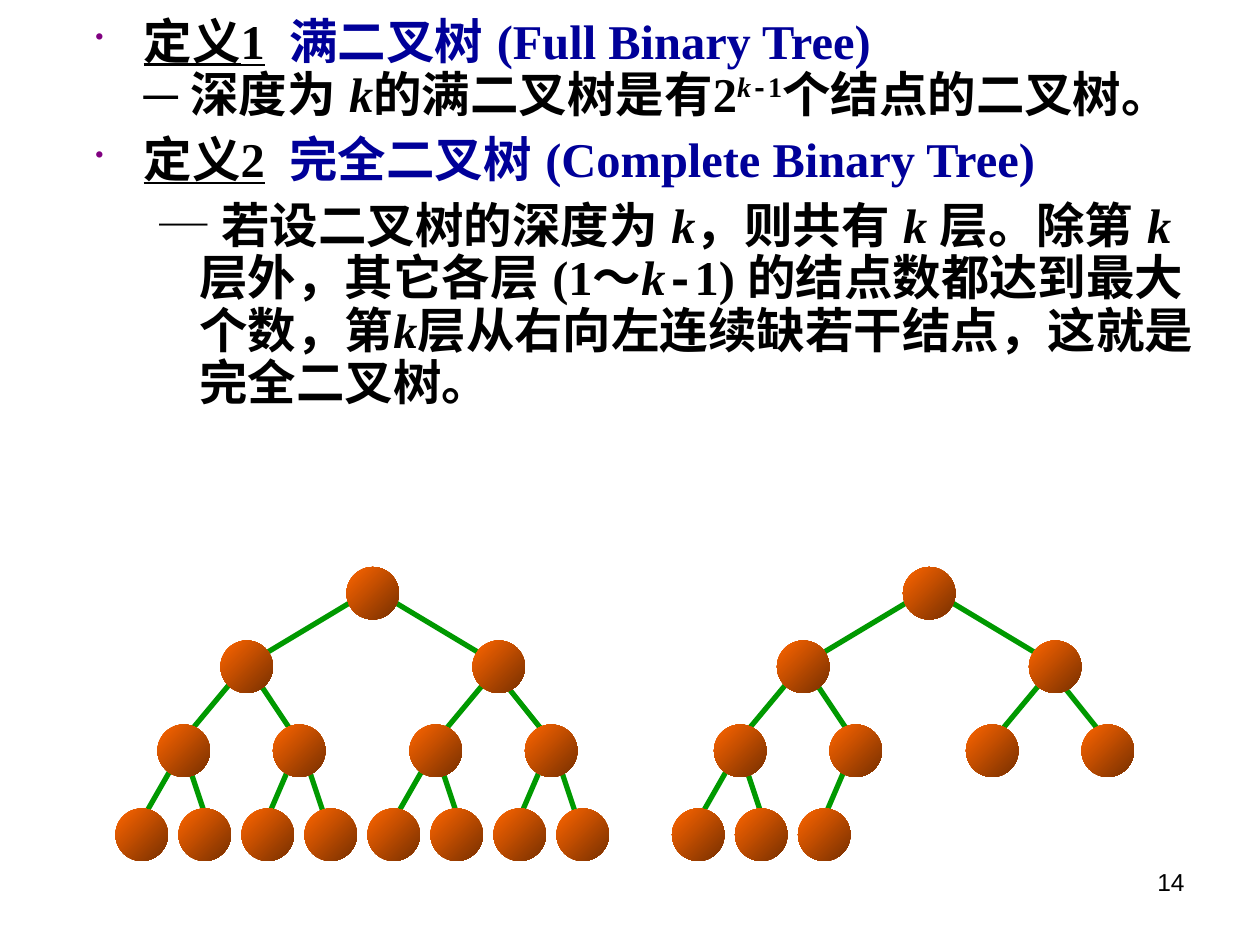
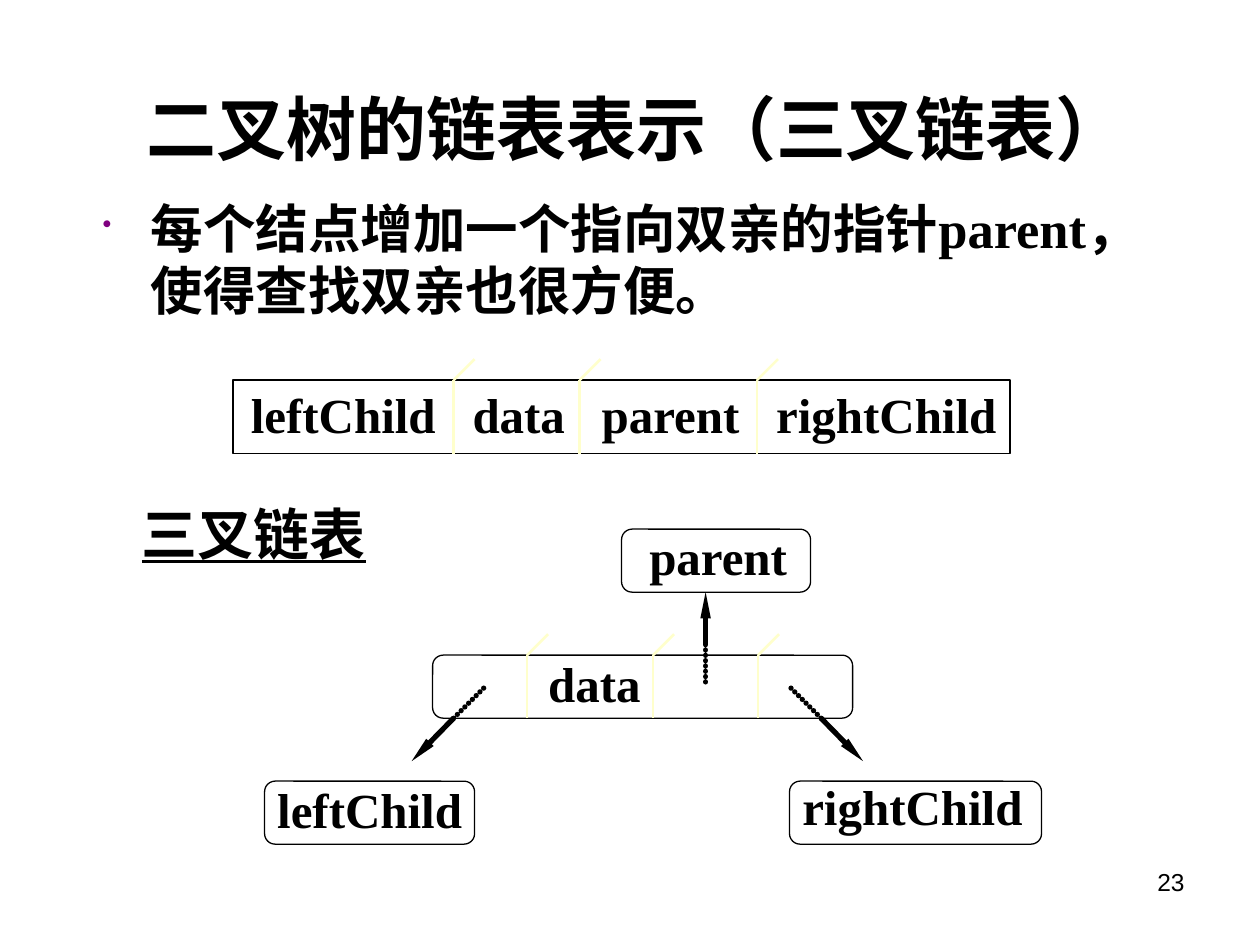
"""Build two slides on binary trees and their triple-linked nodes."""
from dataclasses import dataclass

from lxml import etree
from pptx import Presentation
from pptx import util as u
from pptx.dml.color import RGBColor
from pptx.enum import shapes, text
from pptx.oxml.ns import qn

PX = u.Inches(1) // 120
ALIGN = text.PP_ALIGN
ANCHOR = text.MSO_ANCHOR
SHAPE = shapes.MSO_SHAPE


@dataclass(frozen=True)
class Theme:
    """Colours, fonts and type sizes."""
    ink: str = "000000"
    paper: str = "FFFFFF"
    term: str = "000099"
    bullet: str = "800080"
    edge: str = "009900"
    node_light: str = "FF6600"
    node_dark: str = "762F00"
    divider: str = "FFFFCC"
    serif: str = "Times New Roman"
    sans: str = "Arial"
    mono: str = "Courier New"
    cjk: str = "Noto Sans CJK SC"
    title: float = 40
    subtitle: float = 32
    body: float = 30
    label: float = 28
    definition: float = 27.7
    number: float = 14


def rgb(value):
    """Turn a hex string into a colour."""
    return RGBColor.from_string(value)


class Painter:
    """Holds the theme and the current slide and draws each kind of element."""

    def __init__(self, deck, theme):
        """Keep the deck and the theme."""
        self.deck, self.theme, self.page = deck, theme, None

    def new_page(self, number):
        """Start a blank page with its number."""
        self.page = self.deck.slides.add_slide(self.deck.slide_layouts[6])
        frame = self.frame(860, 820, 280, 62)
        self.para(frame, [(str(number), "")], self.theme.number, self.theme.sans,
                  bold=False, align=ALIGN.RIGHT)

    def frame(self, x, y, w, h, wrap=True, anchor=ANCHOR.TOP):
        """Add a text box and return its text frame."""
        box = self.page.shapes.add_textbox(x * PX, y * PX, w * PX, h * PX)
        frame = box.text_frame
        frame.word_wrap = wrap
        frame.vertical_anchor = anchor
        return frame

    def para(self, frame, spans, size, font=None, bold=True, align=ALIGN.LEFT):
        """Fill the first empty paragraph, or a new one, with marked spans."""
        para = frame.paragraphs[0] if not frame.text else frame.add_paragraph()
        para.alignment = align
        for words, marks in spans:
            if words == "\n":
                para.add_line_break()
            else:
                self.span(para, words, marks, size, font or self.theme.serif, bold)
        return para

    def span(self, para, words, marks, size, font, bold):
        """Add a run: u underline, i italic, t term, m mono, w wide, s raised, g gap."""
        theme = self.theme
        span = para.add_run()
        span.text = words
        style = span.font
        style.size, style.bold = u.Pt(size), bold
        style.italic, style.underline = "i" in marks, "u" in marks
        style.color.rgb = rgb(theme.term if "t" in marks else theme.ink)
        style.name = theme.mono if "m" in marks else theme.cjk if "w" in marks else font
        props = span._r.get_or_add_rPr()
        etree.SubElement(props, qn("a:ea"),
                         typeface=theme.cjk if "w" in marks else theme.sans)
        if "s" in marks:
            props.set("baseline", "30000")
        if "g" in marks:
            props.set("spc", str(700 * marks.count("g")))

    def body(self, frame, spans, size, leading, margin=46, hang=46, bullet=True):
        """Add a hanging body paragraph."""
        para = self.para(frame, spans, size)
        para.line_spacing, para.space_before = u.Pt(leading), u.Pt(7.5)
        props = para._p.get_or_add_pPr()
        props.set("marL", str(margin * PX))
        props.set("indent", str(-hang * PX))
        props.set("hangingPunct", "0")
        if bullet:
            colour = etree.SubElement(props, qn("a:buClr"))
            etree.SubElement(colour, qn("a:srgbClr"), val=self.theme.bullet)
            etree.SubElement(props, qn("a:buSzPct"), val="50000")
            etree.SubElement(props, qn("a:buChar"), char="•")

    def label(self, x, y, w, h, spans, size, font=None, wrap=False):
        """Add one centred line of bold text."""
        frame = self.frame(x, y, w, h, wrap, ANCHOR.MIDDLE)
        self.para(frame, spans, size, font, align=ALIGN.CENTER)

    def shape(self, kind, x, y, w, h):
        """Add a preset shape without a shadow."""
        shape = self.page.shapes.add_shape(kind, x * PX, y * PX, w * PX, h * PX)
        shape.shadow.inherit = False
        return shape

    def panel(self, kind, x, y, w, h):
        """Add a white panel with a thin outline."""
        panel = self.shape(kind, x, y, w, h)
        panel.fill.solid()
        panel.fill.fore_color.rgb = rgb(self.theme.paper)
        panel.line.color.rgb = rgb(self.theme.ink)
        panel.line.width = u.Pt(0.75)

    def node(self, x, y):
        """Add a shaded tree node."""
        node = self.shape(SHAPE.OVAL, x, y, 50, 50)
        node.fill.gradient()
        node.fill.gradient_angle = 315
        colours = (self.theme.node_light, self.theme.node_dark)
        for stop, colour in zip(node.fill.gradient_stops, colours):
            stop.color.rgb = rgb(colour)
        node.line.fill.background()

    def line(self, x1, y1, x2, y2, colour, width, dotted=False, arrow=False):
        """Add a straight line, dotted or with an arrowhead if asked."""
        line = self.page.shapes.add_connector(
            shapes.MSO_CONNECTOR.STRAIGHT, x1 * PX, y1 * PX, x2 * PX, y2 * PX)
        line.line.color.rgb = rgb(colour)
        line.line.width = u.Pt(width)
        props = line._element.spPr
        outline = props.find(qn("a:ln"))
        if dotted:
            outline.set("cap", "rnd")
            dashes = etree.SubElement(outline, qn("a:custDash"))
            etree.SubElement(dashes, qn("a:ds"), d="100000", sp="1000")
        if arrow:
            etree.SubElement(outline, qn("a:tailEnd"), type="triangle", w="sm", len="lg")
        etree.SubElement(props, qn("a:effectLst"))

    def tree(self, left, count):
        """Draw the first nodes of the tree in level order."""
        for x1, y1, x2, y2 in EDGES[:count - 1]:
            self.line(left + x1, y1, left + x2, y2, self.theme.edge, 3)
        for x, y in NODES[:count]:
            self.node(left + x, y)

    def divider(self, x, top, bottom):
        """Draw a field divider with its slanted tip."""
        self.line(x, bottom, x, top, self.theme.divider, 1.5)
        self.line(x, top, x + 20, top - 20, self.theme.divider, 1.5)

    def pointer(self, start, middle, end):
        """Draw a pointer, dotted inside its field and solid outside."""
        self.line(*middle, *end, self.theme.ink, 3, arrow=True)
        self.line(*middle, *start, self.theme.ink, 3, dotted=True)


LEVELS = ((540, (330,)), (610, (210, 450)), (690, (150, 260, 390, 500)),
          (770, range(110, 531, 60)))
NODES = [(x, y) for y, row in LEVELS for x in row]
LEAF_EDGES = ((170, 720, 130, 790), (180, 730, 200, 790),
              (280, 720, 250, 790), (290, 720, 310, 780))
EDGES = [(340, 570, 240, 630), (370, 570, 470, 630),
         (220, 650, 170, 710), (240, 640, 280, 700),
         (470, 640, 420, 700), (480, 650, 520, 700),
         *((x1 + shift, y1, x2 + shift, y2)
           for shift in (0, 240) for x1, y1, x2, y2 in LEAF_EDGES)]

FULL_TREE = [
    ("定义1", "u"), (" ", "g"), ("满二叉树 (Full Binary Tree)", "t"), ("\n", ""),
    ("─ 深度为 ", ""), ("k", "i"), ("的满二叉树是有2", ""), ("k", "is"),
    ("-", "ms"), ("1", "s"), ("个结点的二叉树。", "")]
COMPLETE_TREE = [
    ("定义2", "u"), (" ", "g"), ("完全二叉树 (Complete Binary Tree)", "t")]
COMPLETE_RULE = [
    ("─", "w"), (" 若设二叉树的深度为 ", ""), ("k", "i"), ("，则共有 ", ""),
    ("k ", "i"), ("层。除第 ", ""), ("k ", "i"), ("层外，其它各层 (1", ""),
    ("～", "w"), ("k", "i"), ("-", "m"), ("1) 的结点数都达到最大个数，第", ""),
    ("k", "i"), ("层从右向左连续缺若干结点，这就是完全二叉树。", "")]
FIELDS = [("leftChild", ""), (" ", "gg"), ("data", ""), (" ", "gg"),
          ("parent", ""), (" ", "gg"), ("rightChild", "")]


def definitions(painter):
    """Define full and complete binary trees and show one of each."""
    size = painter.theme.definition
    painter.new_page(14)
    painter.tree(0, 15)
    painter.tree(530, 10)
    frame = painter.frame(79, 10, 1080, 510)
    painter.body(frame, FULL_TREE, size, 30)
    painter.body(frame, COMPLETE_TREE, size, 30)
    painter.body(frame, COMPLETE_RULE, size, 30, margin=99, hang=38, bullet=False)


def triple_links(painter):
    """Show the node record and its three pointers."""
    theme = painter.theme
    painter.new_page(23)
    painter.label(66, 58, 1080, 127, [("二叉树的链表表示（三叉链表）", "")],
                  theme.title, theme.sans, wrap=True)
    frame = painter.frame(86, 182, 1046, 137)
    painter.body(frame, [("每个结点增加一个指向双亲的指针parent，使得查找双亲也很方便。", "")],
                 theme.body, 35.4)

    painter.panel(SHAPE.RECTANGLE, 222, 362, 740, 70)
    for x in (432, 552, 721):
        painter.divider(x, 362, 432)
    painter.label(227, 360, 734, 68, FIELDS, theme.label)

    painter.label(123, 469, 238, 77, [("三叉链表", "u")], theme.subtitle)
    for x, y, w in ((592, 504, 180), (412, 624, 400), (752, 744, 240), (252, 744, 200)):
        painter.panel(SHAPE.ROUNDED_RECTANGLE, x, y, w, 60)
    for x in (502, 622, 722):
        painter.divider(x, 624, 684)
    for words, x, y, w in (("parent", 606, 495, 156), ("data", 510, 616, 112),
                           ("leftChild", 252, 736, 200), ("rightChild", 752, 734, 234)):
        painter.label(x, y, w, 68, [(words, "")], theme.label)
    painter.pointer((672, 654), (672, 614), (672, 564))
    painter.pointer((462, 654), (432, 684), (392, 725))
    painter.pointer((752, 654), (782, 684), (822, 725))


def main():
    """Build and save the deck."""
    deck = Presentation()
    deck.slide_width, deck.slide_height = 1200 * PX, 900 * PX
    painter = Painter(deck, Theme())
    definitions(painter)
    triple_links(painter)
    deck.save("out.pptx")


if __name__ == "__main__":
    main()
